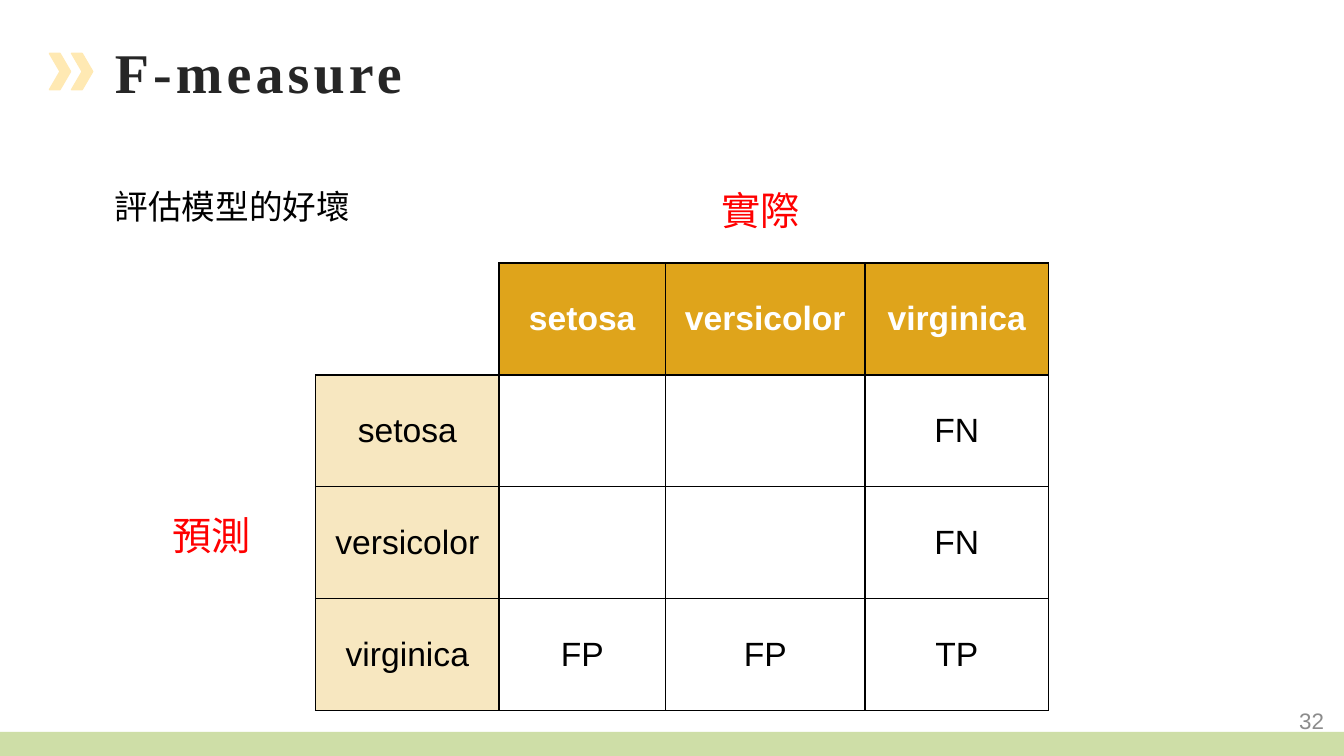
from dataclasses import dataclass

from lxml import etree
from pptx import Presentation
from pptx.dml.color import RGBColor
from pptx.enum.shapes import MSO_SHAPE
from pptx.enum.text import MSO_ANCHOR, MSO_AUTO_SIZE, PP_ALIGN
from pptx.oxml.ns import qn
from pptx.util import Inches, Pt

RECTANGLE, CHEVRON = MSO_SHAPE.RECTANGLE, MSO_SHAPE.CHEVRON
LEFT, CENTER, RIGHT = PP_ALIGN.LEFT, PP_ALIGN.CENTER, PP_ALIGN.RIGHT
TOP, MIDDLE = MSO_ANCHOR.TOP, MSO_ANCHOR.MIDDLE
FIT_SHAPE, FIXED = MSO_AUTO_SIZE.SHAPE_TO_FIT_TEXT, MSO_AUTO_SIZE.NONE

BLACK, WHITE, RED = "000000", "FFFFFF", "FF0000"
GREEN, PALE_YELLOW = "CEDEA7", "FFE9B3"
GOLD, CREAM = "DFA41B", "F7E7C0"


@dataclass
class Label:
    text: str
    left: float
    top: float
    width: float
    height: float
    size: int
    color: str = BLACK
    font: str = "Arial"
    bold: bool = False
    spacing: int = 0  # hundredths of a point
    align: PP_ALIGN = LEFT
    anchor: MSO_ANCHOR = TOP
    wrap: bool = False
    fit: MSO_AUTO_SIZE = FIT_SHAPE


LABELS = [
    Label("32", 10.23, 6.95, 3, 0.4, 16, "8C8C8C", align=RIGHT,
          anchor=MIDDLE, wrap=True, fit=FIXED),
    Label("F-measure", 1.04, 0.32, 6.23, 0.77, 40, "262626",
          "Times New Roman", bold=True, spacing=300, wrap=True),
    Label("評估模型的好壞", 1.04, 1.8, 2.56, 0.5, 24),
    Label("預測", 1.61, 5.02, 0.99, 0.57, 28, RED),
    Label("實際", 7.06, 1.8, 0.99, 0.57, 28, RED),
]

CONFUSION_MATRIX = [
    ["", "setosa", "versicolor", "virginica"],
    ["setosa", "", "", "FN"],
    ["versicolor", "", "", "FN"],
    ["virginica", "FP", "FP", "TP"],
]
COLUMN_WIDTHS = [1.82, 1.65, 1.98, 1.82]
ROW_HEIGHT = 1.11


def rgb(color: str) -> RGBColor:
    return RGBColor.from_string(color)


def add_block(shapes, kind: MSO_SHAPE, left: float, top: float,
              width: float, height: float, color: str, outlined: bool) -> None:
    block = shapes.add_shape(kind, Inches(left), Inches(top),
                             Inches(width), Inches(height))
    block.shadow.inherit = False
    block.fill.solid()
    block.fill.fore_color.rgb = rgb(color)
    if outlined:
        block.line.color.rgb = rgb(color)
        block.line.width = Pt(1)
    else:
        block.line.fill.background()


def style_font(font, name: str, size: int, color: str, bold: bool) -> None:
    font.name = name
    font.size = Pt(size)
    font.bold = bold
    font.color.rgb = rgb(color)


def add_label(shapes, label: Label) -> None:
    box = shapes.add_textbox(Inches(label.left), Inches(label.top),
                             Inches(label.width), Inches(label.height))
    frame = box.text_frame
    frame.word_wrap = label.wrap
    frame.auto_size = label.fit
    frame.vertical_anchor = label.anchor
    paragraph = frame.paragraphs[0]
    paragraph.alignment = label.align
    run = paragraph.add_run()
    run.text = label.text
    style_font(paragraph.font, label.font, label.size, label.color, label.bold)
    if label.spacing:
        run._r.get_or_add_rPr().set("spc", str(label.spacing))


def set_borders(cell, visible_sides: str) -> None:
    properties = cell._tc.get_or_add_tcPr()
    for side in "LRTB":
        border = etree.SubElement(properties, qn(f"a:ln{side}"), w=str(Pt(1)))
        if side in visible_sides:
            fill = etree.SubElement(border, qn("a:solidFill"))
            etree.SubElement(fill, qn("a:srgbClr"), val=BLACK)
        else:
            etree.SubElement(border, qn("a:noFill"))


def fill_cell(cell, text: str, row: int, column: int) -> None:
    is_corner = row == column == 0
    is_header = row == 0 and not is_corner
    set_borders(cell, "RB" if is_corner else "LRTB")
    if is_corner or is_header or column == 0:
        cell.fill.solid()
        cell.fill.fore_color.rgb = rgb(
            WHITE if is_corner else GOLD if is_header else CREAM)
    else:
        cell.fill.background()
    if row > 0 and column == 3:
        cell.margin_left = cell.margin_right = Inches(0.03)
        cell.margin_top = cell.margin_bottom = Inches(0.03)
    cell.vertical_anchor = MIDDLE
    paragraph = cell.text_frame.paragraphs[0]
    paragraph.alignment = CENTER
    if text:
        paragraph.add_run().text = text
    style_font(paragraph.font, "Arial", 24, WHITE if is_header else BLACK,
               is_header)


def add_matrix(shapes, left: float, top: float) -> None:
    rows, columns = len(CONFUSION_MATRIX), len(COLUMN_WIDTHS)
    matrix = shapes.add_table(
        rows, columns, Inches(left), Inches(top),
        Inches(sum(COLUMN_WIDTHS)), Inches(rows * ROW_HEIGHT)).table
    for column, width in zip(matrix.columns, COLUMN_WIDTHS):
        column.width = Inches(width)
    for row, texts in enumerate(CONFUSION_MATRIX):
        matrix.rows[row].height = Inches(ROW_HEIGHT)
        for column, text in enumerate(texts):
            fill_cell(matrix.cell(row, column), text, row, column)


def main() -> None:
    deck = Presentation()
    deck.slide_width, deck.slide_height = Inches(13.33), Inches(7.5)
    shapes = deck.slides.add_slide(deck.slide_layouts[6]).shapes

    # Footer band and title chevrons
    add_block(shapes, RECTANGLE, 0, 7.26, 13.33, 0.24, GREEN, outlined=False)
    title_mark = shapes.add_group_shape().shapes
    for left in (0.49, 0.71):
        add_block(title_mark, CHEVRON, left, 0.53, 0.21, 0.36, PALE_YELLOW,
                  outlined=True)

    # Confusion matrix
    add_matrix(shapes, 3.13, 2.61)

    # Title, axis names and page number
    for label in LABELS:
        add_label(shapes, label)

    deck.save("out.pptx")


if __name__ == "__main__":
    main()
